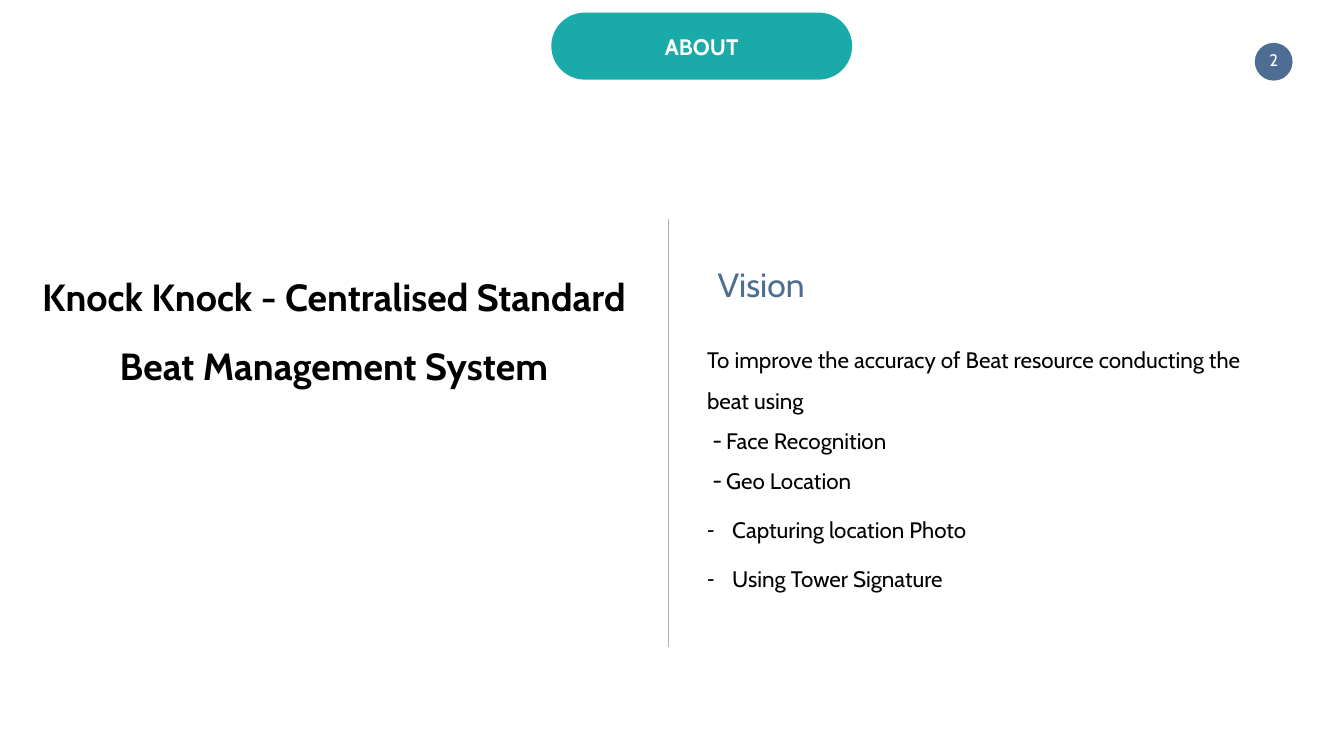
"""Build the About slide with the system name and its vision."""
from lxml.etree import SubElement
from pptx import Presentation
from pptx.dml.color import RGBColor
from pptx.enum.shapes import MSO_CONNECTOR, MSO_SHAPE
from pptx.enum.text import MSO_ANCHOR, MSO_AUTO_SIZE, PP_ALIGN
from pptx.oxml.ns import qn
from pptx.util import Inches, Pt

FONT = "Cabin"
BLACK, WHITE, BLUE, TEAL, GREY = "000000", "FFFFFF", "4D6D92", "1BAAAA", "AFAFAF"


def color(value):
    return RGBColor.from_string(value)


def place(shape, left, top, width, height):
    shape.left, shape.top = Inches(left), Inches(top)
    shape.width, shape.height = Inches(width), Inches(height)


def set_frame(shape, anchor, horizontal=0.1, vertical=0.0):
    frame = shape.text_frame
    frame.word_wrap = True
    frame.auto_size = MSO_AUTO_SIZE.NONE
    frame.vertical_anchor = anchor
    frame.margin_left = frame.margin_right = Inches(horizontal)
    frame.margin_top = frame.margin_bottom = Inches(vertical)
    return frame


def write(paragraph, text, size, text_color, bold=False, align=PP_ALIGN.LEFT):
    paragraph.text = text
    paragraph.alignment = align
    for run in paragraph.runs:
        run.font.name = FONT
        run.font.size = Pt(size)
        run.font.bold = bold
        run.font.color.rgb = color(text_color)


def set_bullet(paragraph, margin, hanging, bullet_font):
    properties = paragraph._p.get_or_add_pPr()
    properties.set("marL", str(Inches(margin)))
    properties.set("indent", str(-Inches(hanging)))
    if bullet_font:
        SubElement(properties, qn("a:buFont"), typeface=bullet_font)
        SubElement(properties, qn("a:buChar"), char="-")
    else:
        SubElement(properties, qn("a:buNone"))


def add_label(slide, preset, box, fill, text, size, bold=False):
    shape = slide.shapes.add_shape(preset, *map(Inches, box))
    shape.shadow.inherit = False
    shape.fill.solid()
    shape.fill.fore_color.rgb = color(fill)
    shape.line.fill.background()
    frame = set_frame(shape, MSO_ANCHOR.MIDDLE, 0)
    write(frame.paragraphs[0], text, size, WHITE, bold, PP_ALIGN.CENTER)
    return shape


def add_divider(slide, left, top, bottom):
    line = slide.shapes.add_connector(
        MSO_CONNECTOR.STRAIGHT, Inches(left), Inches(top), Inches(left), Inches(bottom))
    line.line.color.rgb = color(GREY)
    line.line.width = Pt(0.25)
    SubElement(line._element.spPr, qn("a:effectLst"))


def fill_title(title):
    place(title, 0.5, 4.86, 12.25, 6.18)
    paragraph = set_frame(title, MSO_ANCHOR.TOP, 0.27, 0.13).paragraphs[0]
    write(paragraph, "Knock Knock - Centralised Standard Beat Management System",
          54, BLACK, True, PP_ALIGN.CENTER)
    paragraph.line_spacing = 1.5


def fill_vision(body):
    place(body, 13.93, 5.51, 11.6, 7.33)
    frame = set_frame(body, MSO_ANCHOR.MIDDLE, 0.1, 0.05)
    items = [
        ("To improve the accuracy of Beat resource conducting the beat using", 0, 0, None, 0, 0),
        ("Face Recognition", 0.38, 0.27, FONT, 0, 0),
        ("Geo Location", 0.38, 0.27, FONT, 0, 6),
        ("Capturing location Photo", 0.5, 0.5, "Arial", 6, 6),
        ("Using Tower Signature", 0.5, 0.5, "Arial", 6, 6),
    ]
    for index, (text, margin, hanging, bullet_font, before, after) in enumerate(items):
        paragraph = frame.add_paragraph() if index else frame.paragraphs[0]
        set_bullet(paragraph, margin, hanging, bullet_font)
        write(paragraph, text, 32, BLACK)
        paragraph.line_spacing = 1.5
        paragraph.space_before, paragraph.space_after = Pt(before), Pt(after)


def add_heading(slide, text):
    box = slide.shapes.add_textbox(*map(Inches, (14.14, 4.86, 11.6, 1.56)))
    write(set_frame(box, MSO_ANCHOR.MIDDLE).paragraphs[0], text, 48, BLUE)


def main():
    presentation = Presentation()
    presentation.slide_width, presentation.slide_height = Inches(26.67), Inches(15)
    slide = presentation.slides.add_slide(presentation.slide_layouts[1])
    fill_title(slide.shapes.title)
    fill_vision(slide.placeholders[1])
    add_heading(slide, "Vision")
    add_divider(slide, 13.25, 4.35, 12.83)
    number = add_label(slide, MSO_SHAPE.OVAL, (24.9, 0.85, 0.75, 0.75), BLUE, "2", 24)
    number.text_frame.margin_bottom = Inches(0.09)
    pill = add_label(slide, MSO_SHAPE.ROUNDED_RECTANGLE, (10.94, 0.25, 5.97, 1.33),
                     TEAL, "ABOUT", 32, True)
    pill.adjustments[0] = 0.5
    presentation.save("out.pptx")


if __name__ == "__main__":
    main()
